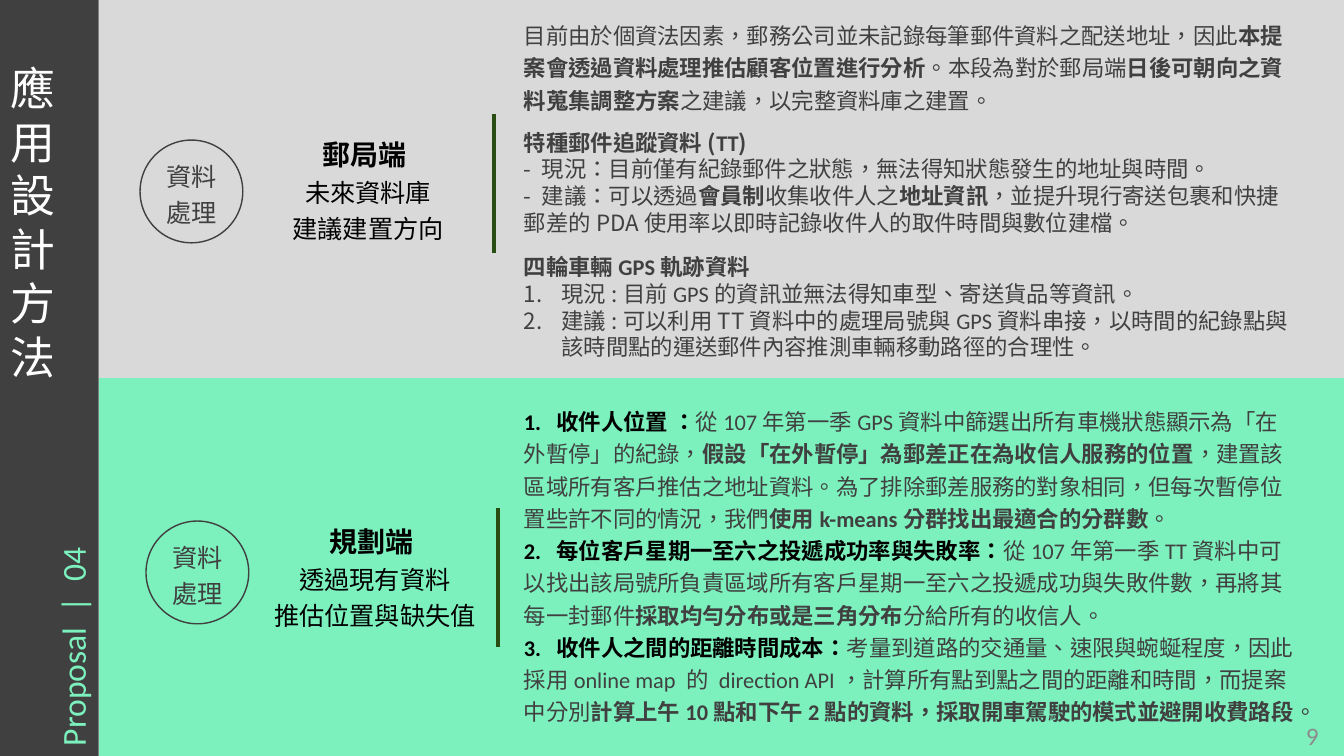
import pptx
import pptx.util
import pptx.dml.color
import pptx.enum.lang
import pptx.enum.shapes
import pptx.enum.text
import pptx.oxml.ns
from lxml import etree

Cm, Pt = pptx.util.Cm, pptx.util.Pt
ALIGN, ANCHOR = pptx.enum.text.PP_ALIGN, pptx.enum.text.MSO_ANCHOR
SHAPE = pptx.enum.shapes.MSO_SHAPE
qn = pptx.oxml.ns.qn

COLORS = {"dark": "404040", "gray": "D9D9D9", "mint": "7CF0BD", "green": "2A4D14",
          "black": "000000", "white": "FFFFFF", "number": "8C8C8C"}
LATIN, CJK = "Calibri", "Noto Sans CJK SC"

# Run styles: font, colour, bold
STYLES = {
    "text": (LATIN, "dark", False), "bold": (LATIN, "dark", True),
    "lead": (LATIN, "black", True), "label": (LATIN, "black", False),
    "note": (CJK, "dark", False), "strong": (CJK, "dark", True),
    "title": (LATIN, "white", False), "accent": (LATIN, "mint", False),
    "number": (LATIN, "number", False),
}

TITLE = "應用設計方法"
SECTION = "Proposal  |  04"
PAGE = "9"
STEP = "資料處理"

# Each band: fill, circle (left, top), label box (left, top, width), rule (x, top), label lines
BANDS = [
    ("gray", (3.53, 3.53), (7.09, 3.18, 4.37), (12.45, 2.87),
     ["郵局端 ", "未來資料庫", "建議建置方向"]),
    ("mint", (3.68, 13.13), (6.63, 12.93, 5.64), (12.55, 12.8),
     ["規劃端 ", "透過現有資料", "推估位置與缺失值"]),
]

INTRO = [[
    ("目前由於個資法因素，郵務公司並未記錄每筆郵件資料之配送地址，因此", "text"),
    ("本提案會透過資料處理推估顧客位置進行分析", "bold"),
    ("。本段為對於郵局端", "text"),
    ("日後可朝向之資料蒐集調整方案", "bold"),
    ("之建議，以完整資料庫之建置。", "text"),
]]
TRACKING = [
    [("特種郵件追蹤資料(", "strong"), ("TT", "bold"), (")", "strong")],
    [("- 現況：目前僅有紀錄郵件之狀態，無法得知狀態發生的地址與時間。", "note")],
    [("- 建議：可以透過", "note"), ("會員制", "strong"), ("收集收件人之", "note"),
     ("地址資訊", "strong"),
     ("，並提升現行寄送包裹和快捷郵差的PDA使用率以即時記錄收件人的取件時間與數位建檔。", "note")],
]
VEHICLES = [
    [("四輪車輛", "strong"), ("GPS", "bold"), ("軌跡資料", "strong")],
    [("現況:目前", "note"), ("GPS", "text"),
     ("的資訊並無法得知車型、寄送貨品等資訊。", "note")],
    [("建議:可以利用TT資料中的處理局號與", "note"), ("GPS", "text"),
     ("資料串接，以時間的紀錄點與該時間點的運送郵件內容推測車輛移動路徑的合理性。", "note")],
]
PLANNING = [
    [("1.  收件人位置 ：", "lead"),
     ("從107年第一季GPS資料中篩選出所有車機狀態顯示為「在外暫停」的紀錄，", "text"),
     ("假設「在外暫停」為郵差正在為收信人服務的位置", "bold"),
     ("，建置該區域所有客戶推估之地址資料。為了排除郵差服務的對象相同，"
      "但每次暫停位置些許不同的情況，我們", "text"),
     ("使用k-means分群找出最適合的分群數", "bold"), ("。", "text")],
    [("2.  每位客戶星期一至六之投遞成功率與失敗率：", "lead"),
     ("從107年第一季TT資料中可以找出該局號所負責區域所有客戶星期一至六之投遞成功與失敗件數，"
      "再將其每一封郵件", "text"),
     ("採取均勻分布或是三角分布", "bold"), ("分給所有的收信人。", "text")],
    [("3.  收件人之間的距離時間成本：", "lead"),
     ("考量到道路的交通量、速限與蜿蜒程度，因此採用online map 的 direction API，"
      "計算所有點到點之間的距離和時間，而提案中分別", "text"),
     ("計算上午10點和下午2點的資料，採取開車駕駛的模式並避開收費路段", "bold"), ("。", "text")],
]

# Body boxes: paragraphs, top, height, line spacing, first numbered paragraph
BODIES = [
    (INTRO, 0.3, 2.64, 1.2, None),
    (PLANNING, 10.03, 8.46, 1.2, None),
    (TRACKING, 3.12, 3, 1, None),
    (VEHICLES, 6.25, 3, 1, 1),
]
SLIDE_W, SLIDE_H, SIDEBAR_W = 33.87, 19.05, 2.49
BAND_H = SLIDE_H / 2
BODY_LEFT, BODY_W = 12.95, 20.07
CIRCLE, RULE_H, LABEL_H = 2.59, 3.5, 3.12


def rgb(name):
    return pptx.dml.color.RGBColor.from_string(COLORS[name])


def write(s, paragraphs, size=16, align=ALIGN.LEFT, anchor=ANCHOR.TOP,
          spacing=1, wrap=True, first_size=None, numbered_from=None):
    """Fill a shape with paragraphs, each a list of (text, style) runs."""
    tf = s.text_frame
    tf.word_wrap, tf.vertical_anchor = wrap, anchor
    tf.auto_size = pptx.enum.text.MSO_AUTO_SIZE.NONE
    for i, runs in enumerate(paragraphs):
        p = tf.add_paragraph() if i else tf.paragraphs[0]
        p.alignment, p.line_spacing = align, spacing
        if numbered_from is not None and i >= numbered_from:
            pPr = p._p.get_or_add_pPr()
            pPr.set("marL", str(Cm(0.95)))
            pPr.set("indent", str(Cm(-0.95)))
            etree.SubElement(pPr, qn("a:buAutoNum"), type="arabicPeriod")
        for text, style in runs:
            r = p.add_run()
            r.text = text
            name, color, bold = STYLES[style]
            r.font.name, r.font.bold = name, bold
            r.font.size = Pt(first_size if first_size and i == 0 else size)
            r.font.color.rgb = rgb(color)
            r.font.language_id = pptx.enum.lang.MSO_LANGUAGE_ID.TRADITIONAL_CHINESE


def add_shape(kind, left, top, width, height, fill=None, line=None):
    s = shapes.add_shape(kind, Cm(left), Cm(top), Cm(width), Cm(height))
    s.shadow.inherit = False
    for part, color in ((s.fill, fill), (s.line.fill, line)):
        if color:
            part.solid()
            part.fore_color.rgb = rgb(color)
        else:
            part.background()
    if line:
        s.line.width = Pt(1)
    return s


def add_text(left, top, width, height, paragraphs, **fmt):
    s = shapes.add_textbox(Cm(left), Cm(top), Cm(width), Cm(height))
    write(s, paragraphs, **fmt)
    return s


def add_rule(x, top):
    s = shapes.add_connector(pptx.enum.shapes.MSO_CONNECTOR.STRAIGHT,
                             Cm(x), Cm(top), Cm(x), Cm(top + RULE_H))
    s.line.color.rgb, s.line.width = rgb("green"), Pt(2.25)
    etree.SubElement(s._element.spPr, qn("a:effectLst"))


prs = pptx.Presentation()
prs.slide_width, prs.slide_height = Cm(SLIDE_W), Cm(SLIDE_H)
slide = prs.slides.add_slide(prs.slide_layouts[5])
shapes = slide.shapes

for i, (fill, *_) in enumerate(BANDS):
    add_shape(SHAPE.RECTANGLE, SIDEBAR_W, i * BAND_H, SLIDE_W - SIDEBAR_W, BAND_H, fill=fill)
for _, circle, (left, top, width), rule, lines in BANDS:
    s = add_shape(SHAPE.OVAL, *circle, CIRCLE, CIRCLE, line="dark")
    write(s, [[(STEP, "text")]], size=18, align=ALIGN.CENTER, anchor=ANCHOR.MIDDLE, spacing=1.2)
    label = [[(line, "label" if j else "lead")] for j, line in enumerate(lines)]
    add_text(left, top, width, LABEL_H, label, size=18, first_size=20,
             align=ALIGN.CENTER, spacing=1.2, wrap=False)
    add_rule(*rule)

for paragraphs, top, height, spacing, numbered in BODIES:
    add_text(BODY_LEFT, top, BODY_W, height, paragraphs, spacing=spacing, numbered_from=numbered)
add_text(25.86, 18.01, 7.62, 1.02, [[(PAGE, "number")]], size=18,
         align=ALIGN.RIGHT, anchor=ANCHOR.MIDDLE)

add_shape(SHAPE.RECTANGLE, 0, 0, SIDEBAR_W, SLIDE_H, fill="dark")
title = shapes.title
title.left, title.top, title.width, title.height = Cm(0), Cm(1.4), Cm(1.98), Cm(8.46)
write(title, [[(TITLE, "title")]], size=32)
shapes._spTree.append(title._element)  # bring the title in front of the sidebar
section = add_text(1.19, 13.39, 1.55, 5.66, [[(SECTION, "accent")]], size=24, wrap=False)
section.text_frame._txBody.bodyPr.set("vert", "vert270")

prs.save("out.pptx")
